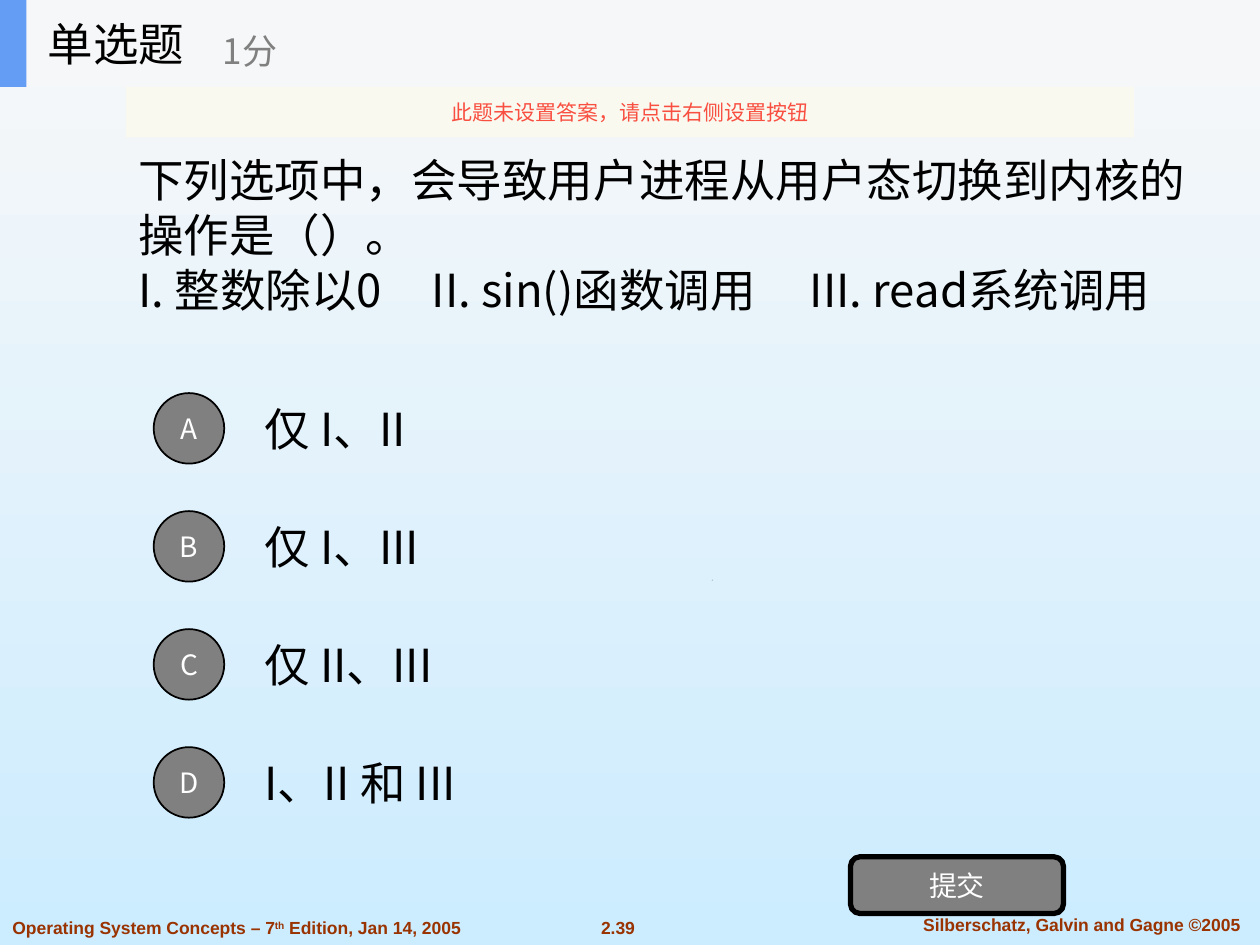
from lxml.etree import SubElement
from pptx import Presentation
from pptx.dml.color import RGBColor
from pptx.enum.shapes import MSO_SHAPE
from pptx.enum.text import MSO_ANCHOR, MSO_AUTO_SIZE, PP_ALIGN
from pptx.oxml.ns import qn
from pptx.util import Inches, Pt

CJK = "Noto Sans CJK SC"
BLACK, GREY, WHITE, RUST = "000000", "808080", "FFFFFF", "993300"


def paint(color, value):
    color.rgb = RGBColor.from_string(value)


def place(shape, box):
    shape.left, shape.top, shape.width, shape.height = map(Inches, box)


def write(shape, *lines, size=26, color=BLACK, font=CJK, bold=False,
          align=PP_ALIGN.LEFT, anchor=MSO_ANCHOR.MIDDLE, wrap=True, tabs=()):
    """Fill a shape with one paragraph a line; text between ^ marks is raised."""
    frame = shape.text_frame
    frame.auto_size = MSO_AUTO_SIZE.NONE
    frame.word_wrap = wrap
    frame.vertical_anchor = anchor
    for index, line in enumerate(lines):
        para = frame.add_paragraph() if index else frame.paragraphs[0]
        para.alignment = align
        if tabs:
            stops = SubElement(para._p.get_or_add_pPr(), qn("a:tabLst"))
            for stop in tabs:
                SubElement(stops, qn("a:tab"), pos=str(Inches(stop)), algn="l")
        for part, piece in enumerate(line.split("^")):
            run = para.add_run()
            run.text = piece
            run.font.size, run.font.bold, run.font.name = Pt(size), bold, font
            paint(run.font.color, color)
            props = run._r.get_or_add_rPr()
            SubElement(props, qn("a:ea"), typeface=font)
            if part % 2:
                props.set("baseline", "30000")


def label(slide, box, *lines, **style):
    shape = slide.shapes.add_textbox(*map(Inches, box))
    write(shape, *lines, **style)


def block(slide, kind, box, fill, line=0):
    """Add a preset shape; line is the outline width in points."""
    shape = slide.shapes.add_shape(kind, *map(Inches, box))
    shape.shadow.inherit = False
    shape.fill.solid()
    paint(shape.fill.fore_color, fill)
    if line:
        paint(shape.line.color, BLACK)
        shape.line.width = Pt(line)
    else:
        shape.line.fill.background()
    return shape


def backdrop(slide):
    fill = slide.background.fill
    fill.gradient()
    fill.gradient_angle = 270
    for stop, value in zip(fill.gradient_stops, ("F8F8F8", "CCECFF")):
        paint(stop.color, value)


def speck(slide, x, y):
    """Draw the tiny black mark of the slide theme."""
    pen = slide.shapes.build_freeform(Inches(x), Inches(y + 0.01))
    pen.add_line_segments([(Inches(x + 0.01), Inches(y)),
                           (Inches(x), Inches(y + 0.01))], close=True)
    shape = pen.convert_to_shape()
    shape.shadow.inherit = False
    shape.fill.solid()
    paint(shape.fill.fore_color, BLACK)
    shape.line.fill.background()


def footer(slide, left, top, width, height):
    style = dict(size=10, color=RUST, font="Arial", bold=True)
    mid = dict(style, align=PP_ALIGN.CENTER)
    label(slide, (left, top, 4.24, height),
          "Operating System Concepts – 7^th^ Edition, Jan 14, 2005", **style)
    label(slide, (left + 4.64, top, 0.53, height), "2.39", wrap=False, **mid)
    label(slide, (left + width - 2.9, top - 0.03, 2.97, height),
          "Silberschatz, Galvin and Gagne ©2005", **mid)


def header(slide, left, top, width, height):
    block(slide, MSO_SHAPE.RECTANGLE, (left, top, width, height), "F6F7F8")
    block(slide, MSO_SHAPE.RECTANGLE, (left, top, 0.21, height), "639EF4")
    title = slide.shapes.title
    place(title, (left + 0.28, top, 2.08, height))
    write(title, "单选题")
    title.element.getparent().append(title.element)  # in front of the bar
    label(slide, (left + 1.67, top + 0.12, 2.5, 0.56), "1分", size=20, color=GREY)


def notice(slide, box):
    shape = block(slide, MSO_SHAPE.RECTANGLE, box, "FBFAEF")
    tint = shape.fill._xPr.find(".//" + qn("a:srgbClr"))
    SubElement(tint, qn("a:alpha"), val="90000")
    write(shape, "此题未设置答案，请点击右侧设置按钮", size=12, color="F84F41",
          align=PP_ALIGN.CENTER)


def choices(slide, left, top, width, height, texts):
    row, dot = 0.7, 0.56
    pitch = (height - row) / (len(texts) - 1)
    for index, (letter, text) in enumerate(zip("ABCD", texts)):
        y = top + index * pitch
        label(slide, (left + 0.78, y, width - 0.78, row), text)
        disc = block(slide, MSO_SHAPE.OVAL,
                     (left, y + (row - dot) / 2, dot, dot), GREY, line=1)
        for side in ("left", "right", "top", "bottom"):
            setattr(disc.text_frame, "margin_" + side, 0)
        write(disc, letter, size=16, color=WHITE, align=PP_ALIGN.CENTER)


def button(slide, box):
    shape = block(slide, MSO_SHAPE.ROUNDED_RECTANGLE, box, GREY, line=3)
    write(shape, "提交", size=16, color=WHITE, align=PP_ALIGN.CENTER)


def main():
    deck = Presentation()
    deck.slide_width, deck.slide_height = Inches(10), Inches(7.5)
    slide = deck.slides.add_slide(deck.slide_layouts[5])
    backdrop(slide)
    speck(slide, 5.65, 4.6)
    footer(slide, 0, 7.23, 10, 0.27)
    label(slide, (1, 0.69, 8.56, 2.34),
          "下列选项中，会导致用户进程从用户态切换到内核的操作是（）。",
          "I. 整数除以0\tII. sin()函数调用\tIII. read系统调用", tabs=(2.33, 5.33))
    choices(slide, 1.22, 3.05, 7.78, 3.51,
            ("仅 I、II", "仅 I、III", "仅 II、III", "I、II 和 III"))
    button(slide, (6.75, 6.8, 1.69, 0.45))
    header(slide, 0, 0, 10, 0.69)
    notice(slide, (1, 0.69, 8, 0.4))
    deck.save("out.pptx")


if __name__ == "__main__":
    main()
